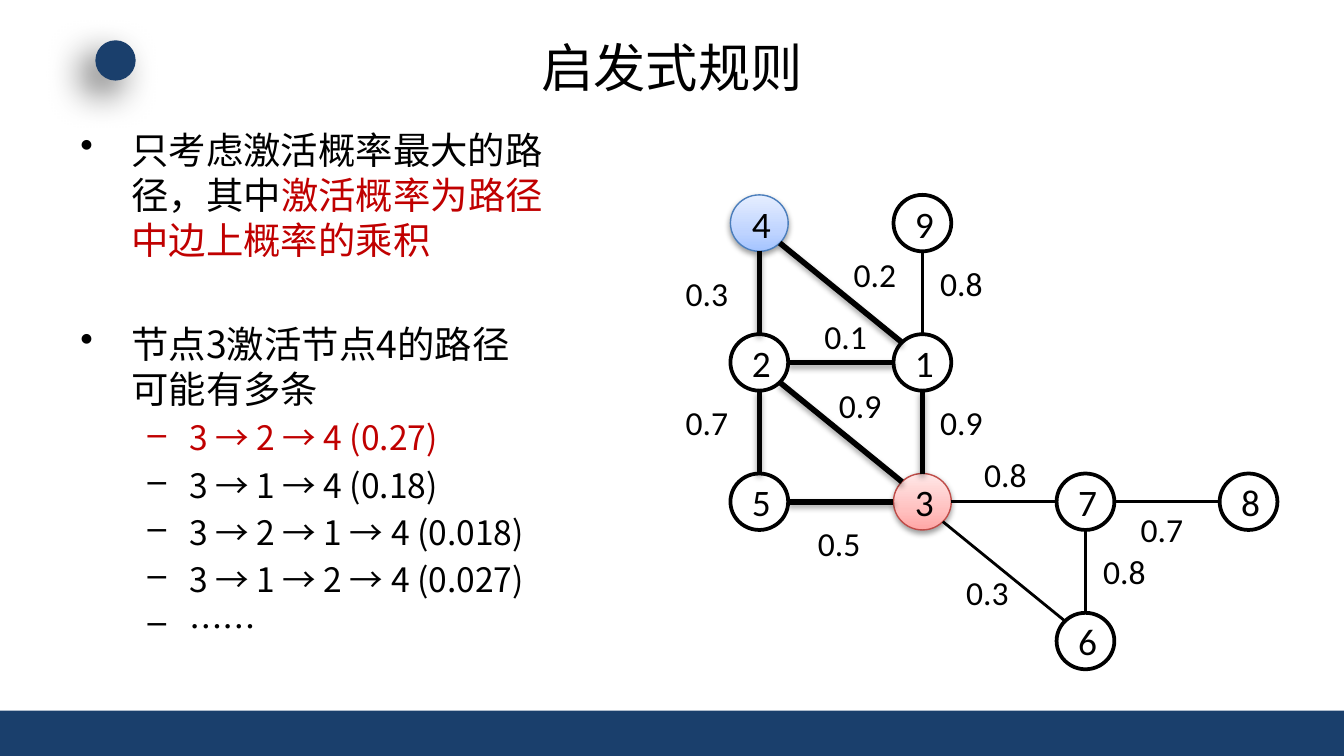
from pptx import Presentation
from pptx.util import Inches, Pt
from pptx.dml.color import RGBColor
from pptx.enum.shapes import MSO_SHAPE as SHAPE, MSO_CONNECTOR as CONN
from pptx.enum.text import PP_ALIGN as ALIGN, MSO_ANCHOR as ANCHOR
from pptx.oxml import parse_xml
from pptx.oxml.ns import nsdecls, qn

NAVY, BLACK, WHITE, RED = "1A3F6C", "000000", "FFFFFF", "C00000"
CJK, LATIN = "Noto Sans CJK SC", "Calibri"
W, H = 10, 10 * 9 / 16
rgb = RGBColor.from_string


def add_effects(sp, shadow=None):
    """Append an effect list; shadow is (opacity %, blur pt, distance pt, angle)."""
    xml = ""
    if shadow:
        alpha, blur, dist, angle = shadow
        xml = (f'<a:outerShdw blurRad="{Pt(blur)}" dist="{Pt(dist)}" dir="{angle * 60000}" '
               f'rotWithShape="0"><a:srgbClr val="{BLACK}"><a:alpha val="{alpha * 1000}"/>'
               f'</a:srgbClr></a:outerShdw>')
    sp.element.spPr.append(parse_xml(f'<a:effectLst {nsdecls("a")}>{xml}</a:effectLst>'))


def add_run(p, text, size, font, color=BLACK):
    r = p.add_run()
    r.text = text
    for name, value in {"size": Pt(size), "name": font}.items():
        setattr(r.font, name, value)
    r.font.color.rgb = rgb(color)
    ea = parse_xml(f'<a:ea {nsdecls("a")} typeface="{font}"/>')
    r.font._element.find(qn("a:latin")).addnext(ea)


prs = Presentation()
prs.slide_width, prs.slide_height = Inches(W), Inches(H)
s = prs.slides.add_slide(prs.slide_layouts[6])

# Footer bar and corner dot
for shape, box, shadow in [
    (SHAPE.RECTANGLE, (0, 0.94 * H, W, 0.06 * H), None),
    (SHAPE.OVAL, (0.71, 0.3, 0.3, 0.3), (60, 20, 10, 135)),
]:
    sp = s.shapes.add_shape(shape, *map(Inches, box))
    sp.fill.solid()
    sp.fill.fore_color.rgb = rgb(NAVY)
    sp.line.fill.background()
    add_effects(sp, shadow)

# Title
tf = s.shapes.add_textbox(*map(Inches, (0.05 * W, 0.22, 0.9 * W, 0.55))).text_frame
tf.word_wrap, tf.vertical_anchor = True, ANCHOR.MIDDLE
tf.paragraphs[0].alignment = ALIGN.CENTER
add_run(tf.paragraphs[0], "启发式规则", 28, CJK)

# Bulleted text: level, space before, runs
LEVELS = [("•", 0.38, 0.38, 20), ("–", 0.81, 0.31, 18)]
body = [
    (0, 0, [("只考虑激活概率最大的路径，其中", BLACK), ("激活概率为路径中边上概率的乘积", RED)]),
    (0, 31.6, [("节点3激活节点4的路径可能有多条", BLACK)]),
    (1, 3.6, [("3 → 2 → 4 (0.27)", RED)]),
    (1, 3.6, [("3 → 1 → 4 (0.18)", BLACK)]),
    (1, 3.6, [("3 → 2 → 1 → 4 (0.018)", BLACK)]),
    (1, 3.6, [("3 → 1 → 2 → 4 (0.027)", BLACK)]),
    (1, 3.6, [("……", BLACK)]),
]
tf = s.shapes.add_textbox(*map(Inches, (0.05 * W, 0.16 * H, 3.66, 4.31))).text_frame
tf.word_wrap = True
for i, (level, before, runs) in enumerate(body):
    p = tf.add_paragraph() if i else tf.paragraphs[0]
    bullet, margin, hang, size = LEVELS[level]
    pPr = p._p.get_or_add_pPr()
    pPr.set("marL", str(Inches(margin)))
    pPr.set("indent", str(-Inches(hang)))
    pPr.append(parse_xml(f'<a:buChar {nsdecls("a")} char="{bullet}"/>'))
    for name, value in {"level": level, "space_before": Pt(before)}.items():
        setattr(p, name, value)
    for text, color in runs:
        add_run(p, text, size, CJK, color)

# Graph grid: centre of column 0 and row 0, steps, node radii
X0, Y0, DX, DY = 5.65, 1.66, 3.64 / 3, 3.11 / 3
RX, RY = 0.215, 0.21

# Nodes: number -> (column, row)
nodes = {2: (0, 1), 1: (1, 1), 3: (1, 2), 6: (2, 3), 5: (0, 2),
         7: (2, 2), 8: (3, 2), 9: (1, 0), 4: (0, 0)}
gradients = {  # outline, then stops from bottom to top
    3: ("BF4C48", "FFA6A5", "FFC0BF", "FFE7E7"),
    4: ("4B7EBC", "A4C4FF", "BFD4FF", "E6EEFF"),
}
for number, (col, row) in nodes.items():
    sp = s.shapes.add_shape(SHAPE.OVAL, Inches(X0 + col * DX - RX), Inches(Y0 + row * DY - RY),
                            Inches(2 * RX), Inches(2 * RY))
    if number in gradients:
        outline, *stops = gradients[number]
        sp.fill.gradient()
        sp.fill.gradient_angle = 90
        gs_lst = sp.element.spPr.find(qn("a:gradFill")).find(qn("a:gsLst"))
        for gs in list(gs_lst):
            gs_lst.remove(gs)
        for pos, color in zip((0, 35, 100), stops):
            gs_lst.append(parse_xml(f'<a:gs {nsdecls("a")} pos="{pos * 1000}">'
                                    f'<a:srgbClr val="{color}"/></a:gs>'))
        width, shadow = 0.75, (38, 3.1, 1.6, 90)
    else:
        sp.fill.solid()
        sp.fill.fore_color.rgb = rgb(WHITE)
        outline, width, shadow = BLACK, 2, None
    sp.line.color.rgb, sp.line.width = rgb(outline), Pt(width)
    add_effects(sp, shadow)
    tf = sp.text_frame
    for name, value in {"margin_left": Inches(0.03), "margin_right": 0, "margin_top": 0,
                        "margin_bottom": 0, "word_wrap": False,
                        "vertical_anchor": ANCHOR.MIDDLE}.items():
        setattr(tf, name, value)
    tf.paragraphs[0].alignment = ALIGN.CENTER
    add_run(tf.paragraphs[0], str(number), 20, LATIN)

# Edges: from, to, heavy, probability, label centre (column, row)
edges = [
    (1, 2, True, "0.1", 0.54, 0.81),
    (1, 4, True, "0.2", 0.72, 0.37),
    (9, 1, False, "0.8", 1.25, 0.43),
    (2, 4, True, "0.3", -0.31, 0.5),
    (2, 5, True, "0.7", -0.31, 1.43),
    (3, 1, True, "0.9", 1.25, 1.43),
    (6, 3, False, "0.3", 1.41, 2.65),
    (7, 6, False, "0.8", 2.25, 2.5),
    (3, 7, False, "0.8", 1.52, 1.8),
    (7, 8, False, "0.7", 2.48, 2.2),
    (2, 3, True, "0.9", 0.63, 1.31),
    (5, 3, True, "0.5", 0.5, 2.3),
]
for a, b, heavy, *_ in edges:
    (c1, r1), (c2, r2) = nodes[a], nodes[b]
    dx, dy = c2 - c1, r2 - r1
    k = (dx * dx + dy * dy) ** 0.5
    ux, uy = dx / k * RX, dy / k * RY  # from centre to rim
    ln = s.shapes.add_connector(CONN.STRAIGHT, *map(Inches, (
        X0 + c1 * DX + ux, Y0 + r1 * DY + uy, X0 + c2 * DX - ux, Y0 + r2 * DY - uy)))
    ln.line.color.rgb, ln.line.width = rgb(BLACK), Pt(3 if heavy else 1.5)
    add_effects(ln, (35, 3.1, 1.8, 90) if heavy else None)

# Edge labels
LW, LH = 0.54, 0.4
for *_, text, col, row in edges:
    tf = s.shapes.add_textbox(Inches(X0 + col * DX - LW / 2), Inches(Y0 + row * DY - LH / 2),
                              Inches(LW), Inches(LH)).text_frame
    tf.word_wrap = False
    add_run(tf.paragraphs[0], text, 18, LATIN)

prs.save("out.pptx")
